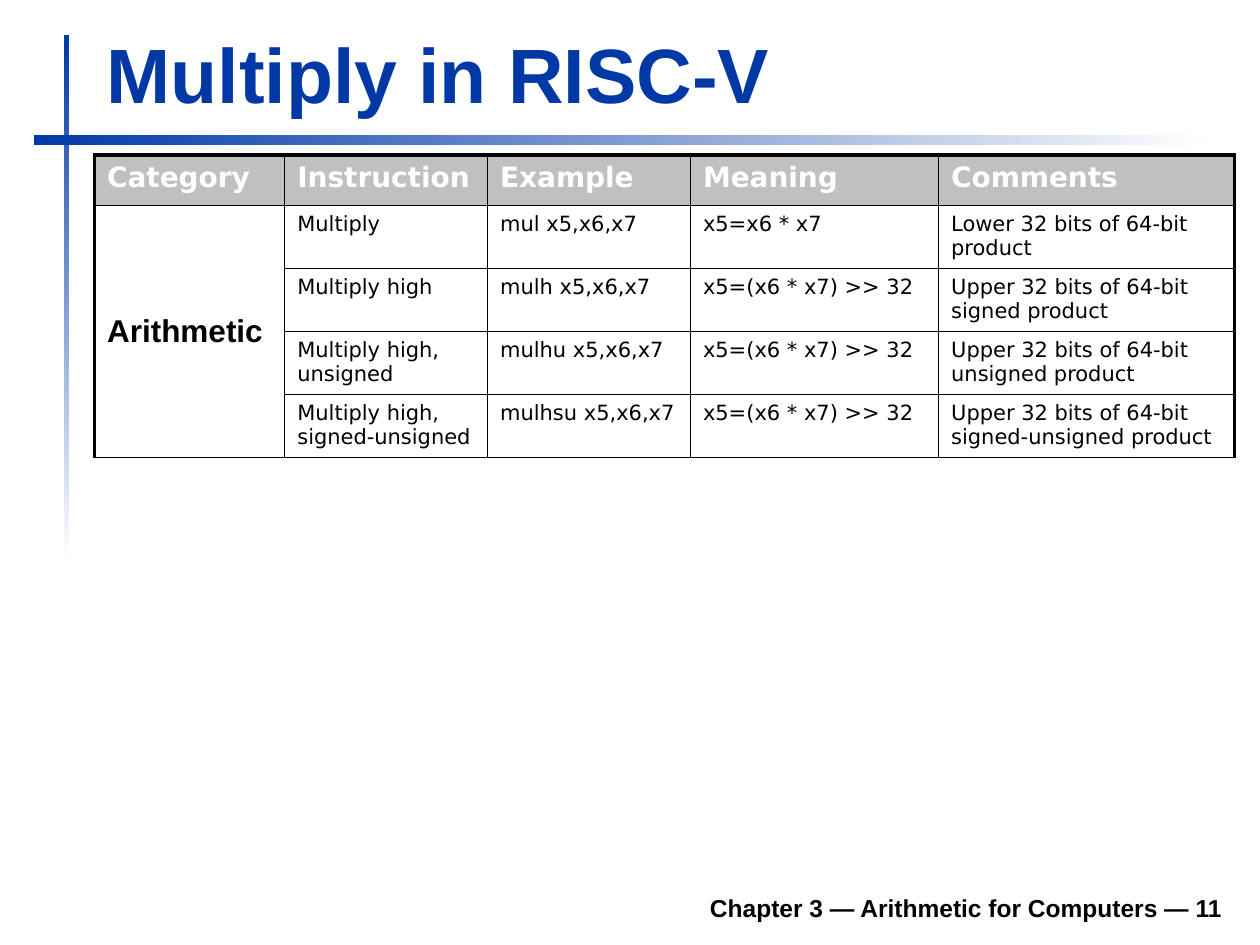
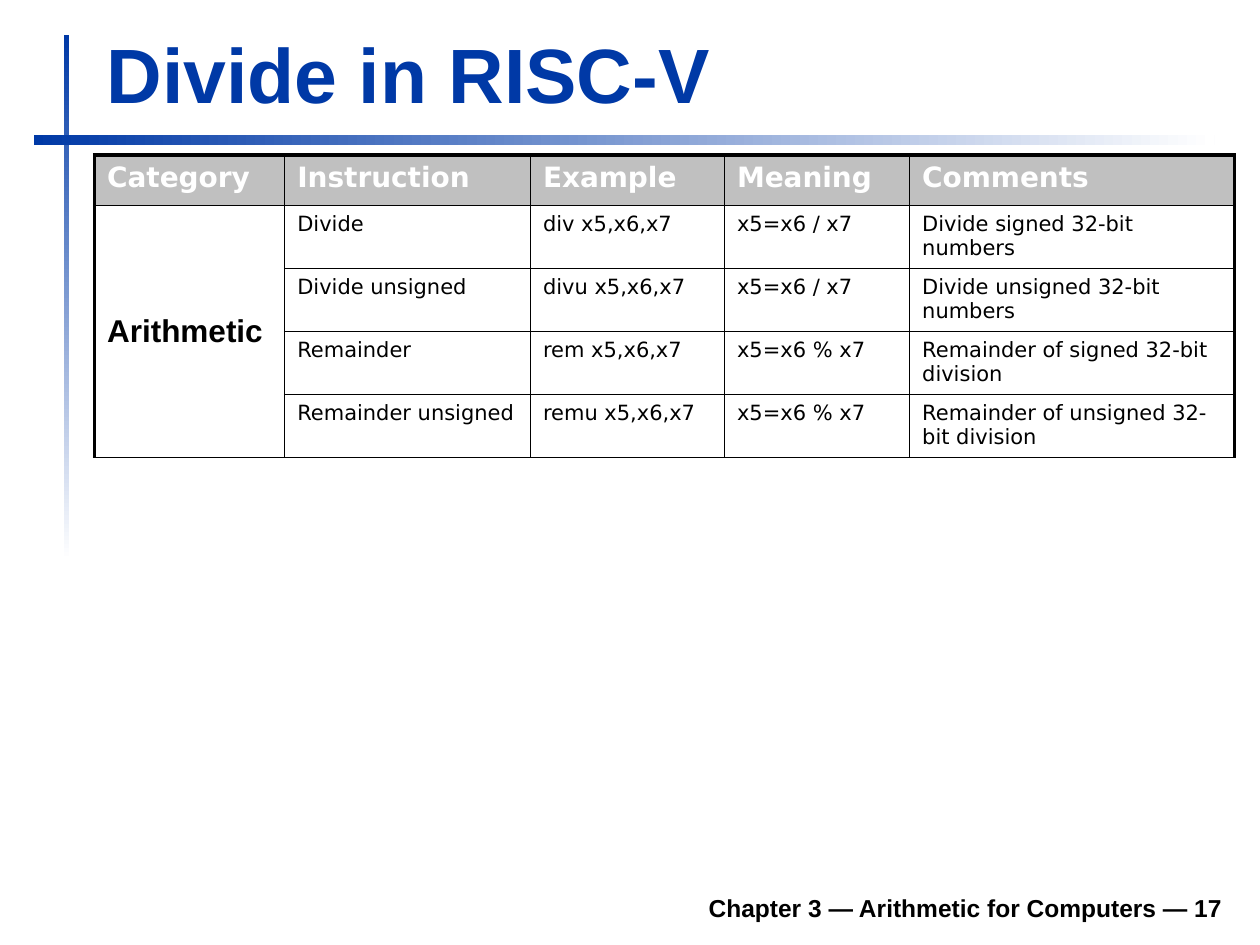
from dataclasses import dataclass

from lxml import etree
from pptx import Presentation
from pptx.dml.color import RGBColor
from pptx.enum.shapes import MSO_SHAPE
from pptx.enum.text import MSO_ANCHOR, PP_ALIGN
from pptx.oxml.ns import qn
from pptx.util import Pt

RECT = MSO_SHAPE.RECTANGLE
TOP, MIDDLE, BOTTOM = MSO_ANCHOR.TOP, MSO_ANCHOR.MIDDLE, MSO_ANCHOR.BOTTOM
LEFT, RIGHT = PP_ALIGN.LEFT, PP_ALIGN.RIGHT
PX = 9144  # EMU per px, 100 px to the inch
BLANK = 6


@dataclass(frozen=True)
class Theme:
    blue: str = "0039A6"
    white: str = "FFFFFF"
    black: str = "000000"
    grey: str = "C0C0C0"
    thin: float = 1
    thick: float = 2.25

    def font(self, role):
        name, size, bold, color = {
            "title": ("Arial", 44, True, self.blue),
            "footer": ("Arial", 14, True, self.black),
            "header": ("DejaVu Sans", 16, True, self.white),
            "category": ("Arial", 18, True, self.black),
            "body": ("DejaVu Sans", 12, False, self.black),
        }[role]
        return {"name": name, "size": Pt(size), "bold": bold}, color


class Deck:
    def __init__(self, theme):
        self.theme = theme
        self.prs = Presentation()
        self.prs.slide_width, self.prs.slide_height = 1000 * PX, 750 * PX
        self.s = None

    def slide(self, title, number):
        self.s = self.prs.slides.add_slide(self.prs.slide_layouts[BLANK])
        # Crossed rules that fade to white
        self.fade_bar(51, 28, 4, 417, 270)
        self.fade_bar(27, 107, 937, 8, 0)
        # Footer and title
        self.text(94, 698, 886, 39, f"Chapter 3 — Arithmetic for Computers — {number}",
                  "footer", RIGHT)
        self.text(75, 15, 903, 84, title, "title")

    def fade_bar(self, x, y, w, h, angle):
        sp = self.s.shapes.add_shape(RECT, x * PX, y * PX, w * PX, h * PX)
        sp.shadow.inherit = False
        sp.line.fill.background()
        sp.fill.gradient()
        sp.fill.gradient_angle = angle
        for stop, color in zip(sp.fill.gradient_stops, (self.theme.blue, self.theme.white)):
            stop.color.rgb = RGBColor.from_string(color)

    def text(self, x, y, w, h, text, role, align=LEFT):
        tf = self.s.shapes.add_textbox(x * PX, y * PX, w * PX, h * PX).text_frame
        tf.word_wrap = True
        tf.vertical_anchor = BOTTOM
        self.add_text(tf, text, role, align)

    def add_text(self, tf, text, role, align=LEFT):
        p = tf.paragraphs[0]
        p.alignment = align
        r = p.add_run()
        r.text = text
        formats, color = self.theme.font(role)
        for key, value in formats.items():
            setattr(r.font, key, value)
        r.font.color.rgb = RGBColor.from_string(color)

    def borders(self, cell, **widths):
        tc_pr = cell._tc.get_or_add_tcPr()
        for side in "LRTB":
            width = widths.get(side, self.theme.thin)
            ln = etree.SubElement(tc_pr, qn(f"a:ln{side}"), w=str(Pt(width)))
            fill = etree.SubElement(ln, qn("a:solidFill"))
            etree.SubElement(fill, qn("a:srgbClr"), val=self.theme.black)

    def table(self, x, y, widths, heights, rows):
        shape = self.s.shapes.add_table(len(rows), len(widths), x * PX, y * PX,
                                        sum(widths) * PX, sum(heights) * PX)
        table = shape.table
        table.first_row = table.horz_banding = False
        for column, width in zip(table.columns, widths):
            column.width = width * PX
        for row, height in zip(table.rows, heights):
            row.height = height * PX
        last = len(widths) - 1
        for i, row in enumerate(rows):
            for j, value in enumerate(row):
                cell = table.cell(i, j)
                # Thick outer frame on the left, right and top
                outer = {"L": j == 0, "R": j == last, "T": i == 0}
                self.borders(cell, **{k: self.theme.thick for k, on in outer.items() if on})
                if i == 0:
                    cell.fill.solid()
                    cell.fill.fore_color.rgb = RGBColor.from_string(self.theme.grey)
                else:
                    cell.fill.background()
                role = "header" if i == 0 else "category" if j == 0 else "body"
                cell.vertical_anchor = MIDDLE if role == "category" else TOP
                if value:
                    self.add_text(cell.text_frame, value, role)
        # One category cell spans all instructions
        table.cell(1, 0).merge(table.cell(len(rows) - 1, 0))


HEADERS = ("Category", "Instruction", "Example", "Meaning", "Comments")
SLIDES = [
    ("Multiply in RISC-V", 11, (151, 161, 161, 197, 235), [
        ("Multiply", "mul x5,x6,x7", "x5=x6 * x7", "Lower 32 bits of 64-bit product"),
        ("Multiply high", "mulh x5,x6,x7", "x5=(x6 * x7) >> 32",
         "Upper 32 bits of 64-bit signed product"),
        ("Multiply high, unsigned", "mulhu x5,x6,x7", "x5=(x6 * x7) >> 32",
         "Upper 32 bits of 64-bit unsigned product"),
        ("Multiply high, signed-unsigned", "mulhsu x5,x6,x7", "x5=(x6 * x7) >> 32",
         "Upper 32 bits of 64-bit signed-unsigned product"),
    ]),
    ("Divide in RISC-V", 17, (151, 195, 154, 147, 258), [
        ("Divide", "div x5,x6,x7", "x5=x6 / x7", "Divide signed 32-bit numbers"),
        ("Divide unsigned", "divu x5,x6,x7", "x5=x6 / x7", "Divide unsigned 32-bit numbers"),
        ("Remainder", "rem x5,x6,x7", "x5=x6 % x7", "Remainder of signed 32-bit division"),
        ("Remainder unsigned", "remu x5,x6,x7", "x5=x6 % x7",
         "Remainder of unsigned 32-bit division"),
    ]),
]


def main():
    deck = Deck(Theme())
    for title, number, widths, instructions in SLIDES:
        deck.slide(title, number)
        rows = [HEADERS] + [("" if i else "Arithmetic", *instruction)
                            for i, instruction in enumerate(instructions)]
        deck.table(75, 123, widths, [40] + [50] * len(instructions), rows)
    deck.prs.save("out.pptx")


if __name__ == "__main__":
    main()
